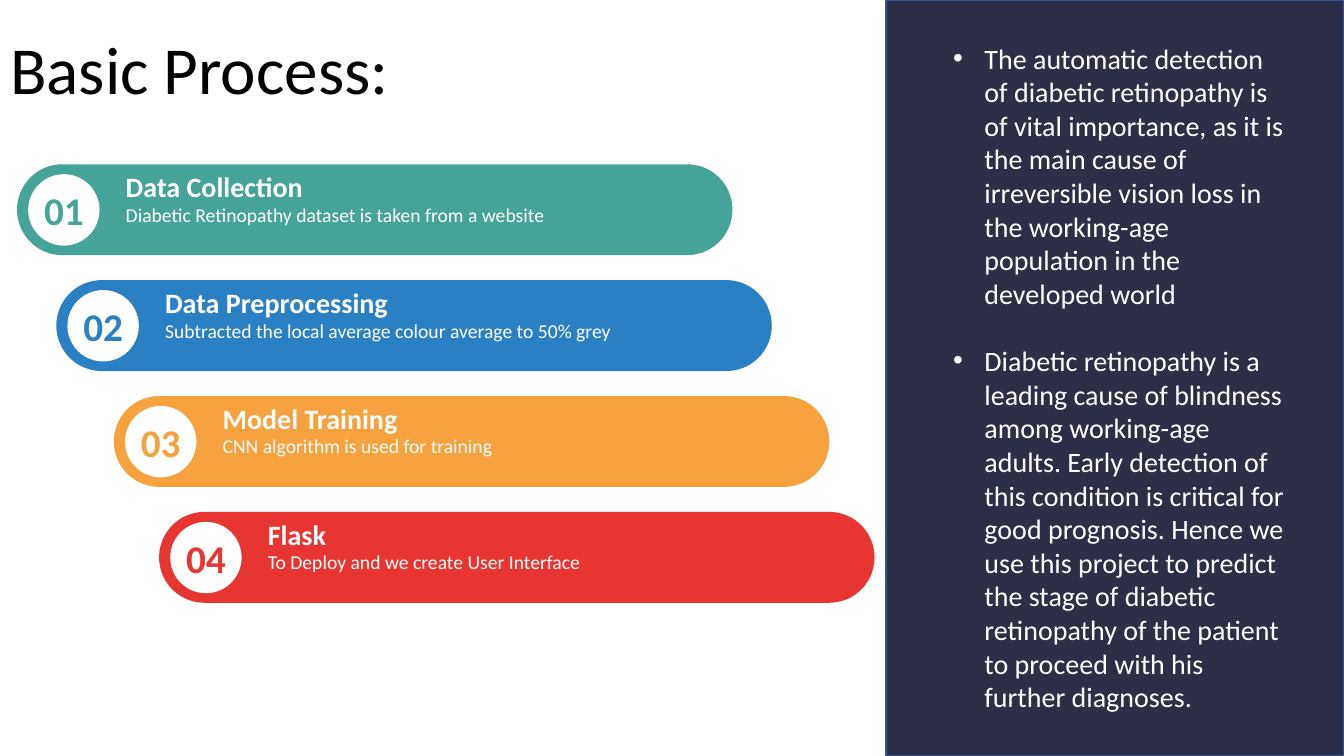
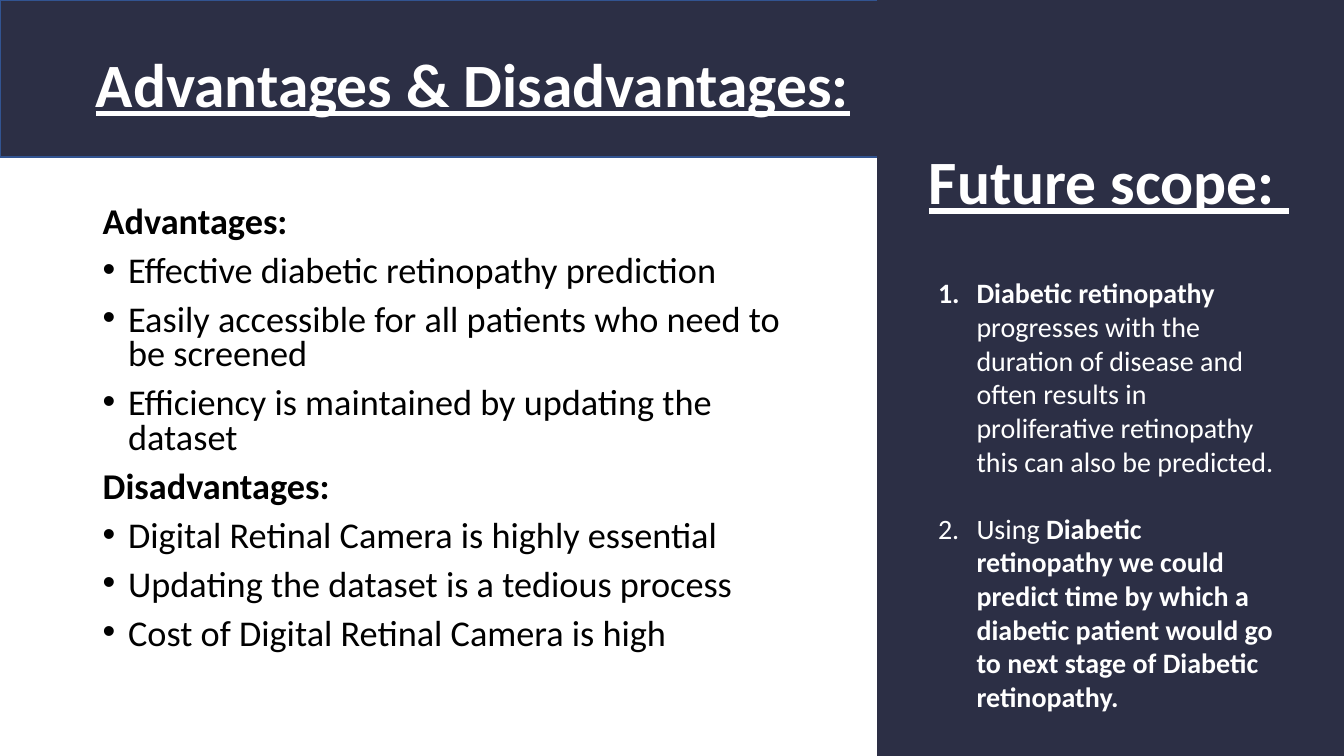
from lxml import etree
from pptx import Presentation
from pptx.dml.color import RGBColor
from pptx.enum import shapes, text
from pptx.oxml import ns
from pptx.util import Cm, Pt

FONT = "Calibri"
WIDTH, HEIGHT = 33.87, 19.05
COLOURS = {
    "navy": "2C2F45",
    "edge": "325491",
    "white": "FFFFFF",
    "black": "000000",
    "teal": "45A398",
    "blue": "2B80C3",
    "orange": "F5A23F",
    "red": "E73631",
}
STEPS = [
    (0.43, "teal", "Data Collection", "Diabetic Retinopathy dataset is taken from a website"),
    (1.42, "blue", "Data Preprocessing", "Subtracted the local average colour average to 50% grey"),
    (2.87, "orange", "Model Training", "CNN algorithm is used for training"),
    (4.01, "red", "Flask", "To Deploy and we create User Interface"),
]
IMPORTANCE = [
    "The automatic detection of diabetic retinopathy is of vital importance, as it is "
    "the main cause of irreversible vision loss in the working-age population in the "
    "developed world",
    "Diabetic retinopathy is a leading cause of blindness among working-age adults. "
    "Early detection of this condition is critical for good prognosis. Hence we use this "
    "project to predict the stage of diabetic retinopathy of the patient to proceed with "
    "his further diagnoses.",
]
PROS_AND_CONS = {
    "Advantages:": [
        "Effective diabetic retinopathy prediction",
        "Easily accessible for all patients who need to be screened",
        "Efficiency is maintained by updating the dataset",
    ],
    "Disadvantages:": [
        "Digital Retinal Camera is highly essential",
        "Updating the dataset is a tedious process",
        "Cost of Digital Retinal Camera is high",
    ],
}
# Each item is a list of (text, bold) runs
FUTURE_SCOPE = [
    [("Diabetic retinopathy", True),
     (" progresses with the duration of disease and often results in proliferative "
      "retinopathy this can also be predicted.", False)],
    [("Using ", False),
     ("Diabetic retinopathy we could predict time by which a diabetic patient would go "
      "to next stage of Diabetic retinopathy.", True)],
]


def rgb(name):
    return RGBColor.from_string(COLOURS[name])


def style(p, size, colour="white", bold=False, underline=False):
    f = p.font
    f.name, f.size, f.bold, f.underline = FONT, Pt(size), bold, underline
    f.color.rgb = rgb(colour)


def hang(p, indent, tag, **attributes):
    """Give the paragraph a hanging bullet or number; tag is buChar or buAutoNum."""
    pPr = p._p.get_or_add_pPr()
    pPr.set("marL", str(Cm(indent)))
    pPr.set("indent", str(-Cm(indent)))
    font = etree.Element(ns.qn("a:buFont"), typeface="Arial")
    marker = etree.Element(ns.qn(f"a:{tag}"), **attributes)
    pPr.insert_element_before(font, "a:tabLst", "a:defRPr", "a:extLst")
    pPr.insert_element_before(marker, "a:tabLst", "a:defRPr", "a:extLst")


def add_shape(s, kind, left, top, width, height, fill, line=None):
    sp = s.shapes.add_shape(kind, Cm(left), Cm(top), Cm(width), Cm(height))
    sp.shadow.inherit = False
    sp.fill.solid()
    sp.fill.fore_color.rgb = rgb(fill)
    if line:
        sp.line.color.rgb = rgb(line)
        sp.line.width = Pt(1)
    else:
        sp.line.fill.background()
    return sp


def add_panel(s, left, top, width, height, line="edge"):
    return add_shape(s, shapes.MSO_SHAPE.RECTANGLE, left, top, width, height, "navy", line)


def add_text_frame(s, left, top, width, height):
    tf = s.shapes.add_textbox(Cm(left), Cm(top), Cm(width), Cm(height)).text_frame
    tf.word_wrap = True
    return tf


def add_line_of_text(s, content, left, top, width, height, size, **font):
    tf = add_text_frame(s, left, top, width, height)
    p = tf.paragraphs[0]
    p.text = content
    style(p, size, **font)
    return tf


def add_paragraph(tf):
    """Return the empty first paragraph, or a new one."""
    first = tf.paragraphs[0]
    return tf.add_paragraph() if first.runs else first


def set_title(s, content, left, top, width, height, size, **font):
    title = s.shapes.title
    title.left, title.top, title.width, title.height = map(Cm, (left, top, width, height))
    tf = title.text_frame
    tf.auto_size = text.MSO_AUTO_SIZE.NONE
    tf.vertical_anchor = text.MSO_ANCHOR.MIDDLE
    p = tf.paragraphs[0]
    p.text = content
    p.alignment = text.PP_ALIGN.LEFT
    style(p, size, **font)
    return title


def add_step(s, number, left, top, colour, heading, detail):
    bar = add_shape(s, shapes.MSO_SHAPE.ROUNDED_RECTANGLE, left, top, 18.03, 2.29, colour)
    bar.adjustments[0] = 0.5
    badge = add_shape(s, shapes.MSO_SHAPE.OVAL, left + 0.28, top + 0.25, 1.8, 1.8, "white")
    tf = badge.text_frame
    tf.margin_left = tf.margin_right = tf.margin_top = tf.margin_bottom = 0
    tf.word_wrap = False
    tf.vertical_anchor = text.MSO_ANCHOR.MIDDLE
    p = tf.paragraphs[0]
    p.text = f"{number:02}"
    p.alignment = text.PP_ALIGN.CENTER
    style(p, 28, colour, bold=True)
    add_line_of_text(s, detail, left + 2.49, top + 0.84, 14.38, 0.86, 14)
    tf = add_line_of_text(s, heading, left + 2.49, top, 14.38, 1.12, 20, bold=True)
    tf.vertical_anchor = text.MSO_ANCHOR.MIDDLE


def add_side_list(s, items, left, top, width, height, indent, tag, **attributes):
    """Add a list of items, each a list of (text, bold) runs, one line apart."""
    tf = add_text_frame(s, left, top, width, height)
    for i, runs in enumerate(items):
        p = add_paragraph(tf)
        for content, bold in runs:
            r = p.add_run()
            r.text = content
            r.font.bold = bold
        style(p, 20)
        hang(p, indent, tag, **attributes)
        p.space_before = Pt(24 if i else 0)


def add_pros_and_cons(s):
    tf = add_text_frame(s, 2.34, 5.08, 17.86, 12.09)
    for heading, points in PROS_AND_CONS.items():
        for content in [heading, *points]:
            is_heading = content == heading
            p = add_paragraph(tf)
            p.text = content
            p.line_spacing = 0.8
            p.space_before = Pt(10)
            style(p, 25.9, "black", bold=is_heading)
            if not is_heading:
                hang(p, 0.64, "buChar", char="•")


def build_process(s):
    title = set_title(s, "Basic Process:", 0, 0, 29.21, 3.68, 48, colour="black")
    title.text_frame.paragraphs[0].line_spacing = 0.9
    for i, (left, *step) in enumerate(STEPS):
        add_step(s, i + 1, left, 4.14 + 2.92 * i, *step)
    add_panel(s, 22.33, 0, WIDTH - 22.33, HEIGHT)
    items = [[(content, False)] for content in IMPORTANCE]
    add_side_list(s, items, 23.77, 0.91, 8.94, 18.14, 0.79, "buChar", char="•")


def build_evaluation(s):
    add_pros_and_cons(s)
    band = add_panel(s, 0, 0, WIDTH, 3.96)
    title = set_title(s, "Advantages & Disadvantages:", 2.16, 1.02, 19.68, 2.13, 44,
                      bold=True, underline=True, colour="white")
    title.text_frame.word_wrap = False
    band.element.addnext(title.element)  # the title lies above the band
    add_panel(s, 22.12, 0, WIDTH - 22.12, HEIGHT, line="navy")
    add_side_list(s, FUTURE_SCOPE, 23.39, 6.83, 9.22, 12.22, 0.97,
                  "buAutoNum", type="arabicPeriod")
    tf = add_line_of_text(s, "Future scope: ", 23.16, 3.48, 9.68, 2.13, 44,
                          bold=True, underline=True)
    tf.word_wrap = False


def main():
    prs = Presentation()
    prs.slide_width, prs.slide_height = Cm(WIDTH), Cm(HEIGHT)
    title_only = prs.slide_layouts[5]
    for build in (build_process, build_evaluation):
        build(prs.slides.add_slide(title_only))
    prs.save("out.pptx")


if __name__ == "__main__":
    main()
